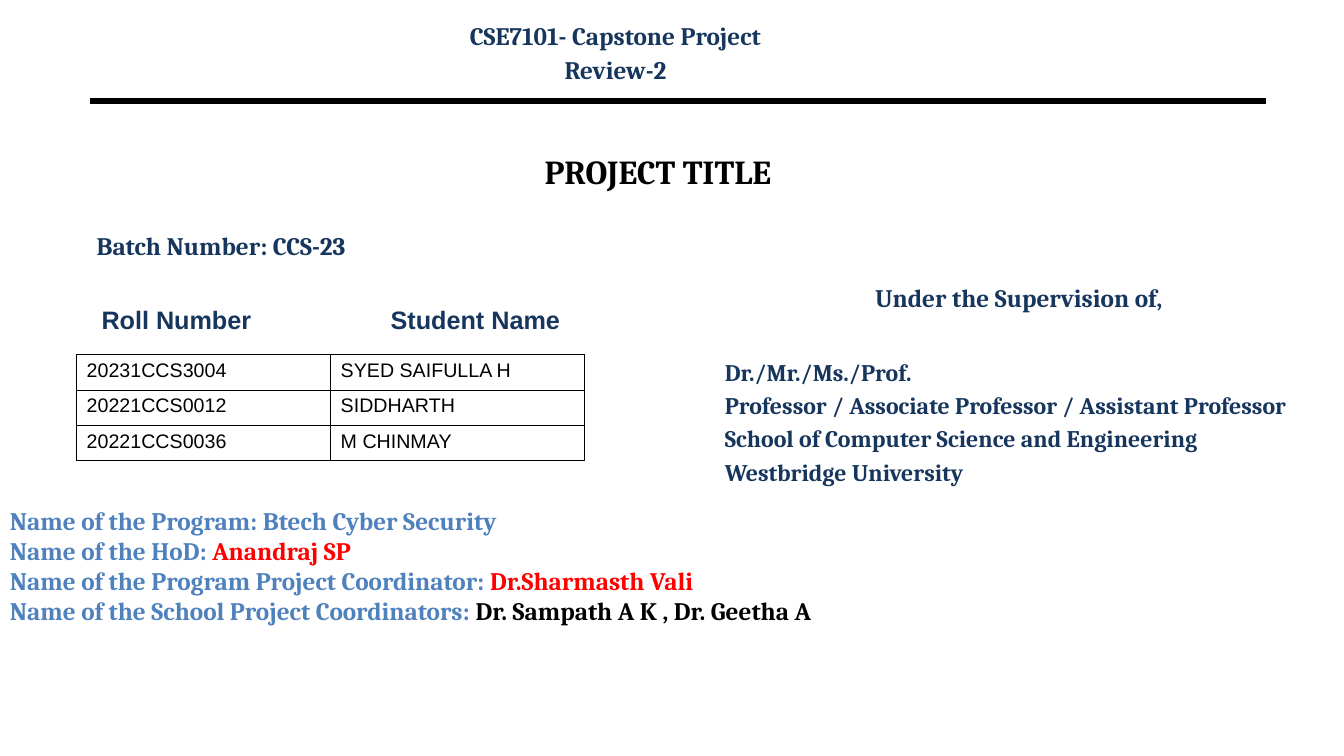
"""Build the opening slide of a capstone project review."""
import lxml.etree
import pptx
import pptx.dml.color
import pptx.enum.text
import pptx.oxml
import pptx.oxml.ns
import pptx.util

Inches = pptx.util.Inches
Pt = pptx.util.Pt
color = pptx.dml.color.RGBColor.from_string
CENTER = pptx.enum.text.PP_ALIGN.CENTER
LEFT = pptx.enum.text.PP_ALIGN.LEFT
MIDDLE = pptx.enum.text.MSO_ANCHOR.MIDDLE
NAVY, BLUE, RED, BLACK = "17365D", "4F81BD", "FF0000", "000000"


def write(text_frame, text, size=18, fill=NAVY, font="Cambria", bold=True,
          align=LEFT, before=0, same_line=False):
    """Write text in a new paragraph, or on the last line of the frame."""
    paragraph = text_frame.paragraphs[-1]
    if paragraph.runs and not same_line:
        paragraph = text_frame.add_paragraph()
    paragraph.alignment = align
    paragraph.space_before = Pt(before)
    run = paragraph.add_run()
    run.text = text
    run.font.name = font
    run.font.size = Pt(size)
    run.font.bold = bold
    run.font.color.rgb = color(fill)


def add_box(left, top, width, height):
    """Add a wrapping text box and return its text frame."""
    box = slide.shapes.add_textbox(Inches(left), Inches(top), Inches(width), Inches(height))
    box.text_frame.word_wrap = True
    return box.text_frame


presentation = pptx.Presentation()
presentation.slide_width = Inches(13.33)
presentation.slide_height = Inches(7.5)
slide = presentation.slides.add_slide(presentation.slide_layouts[5])

rule = slide.shapes.add_connector(1, Inches(0.89), Inches(1), Inches(12.56), Inches(1))
rule.line.color.rgb = color(BLACK)
rule.line.width = Pt(4.5)
lxml.etree.SubElement(rule._element.spPr, pptx.oxml.ns.qn("a:effectLst"))

title = slide.shapes.title
title.left, title.top = Inches(0.86), Inches(1.17)
title.width, title.height = Inches(11.33), Inches(1.05)
title.text_frame.vertical_anchor = MIDDLE
write(title.text_frame, "PROJECT TITLE", size=24, fill=BLACK, align=CENTER)

write(add_box(0.86, 2.24, 4.8, 0.6), "Batch Number: CCS-23")

supervision = add_box(7.09, 2.75, 6.03, 2.21)
write(supervision, "Under the Supervision of,", align=CENTER)
for text, before in [
    ("Dr./Mr./Ms./Prof.", 32),
    ("Professor / Associate Professor / Assistant Professor", 3.4),
    ("School of Computer Science and Engineering", 3.4),
    ("Westbridge University", 3.4),
]:
    write(supervision, text, size=17, before=before)

headings = slide.shapes.add_table(
    6, 2, Inches(0.61), Inches(2.98), Inches(5.93), Inches(2.03)).table
headings.first_row = headings.horz_banding = False
headings.columns[0].width = Inches(2.28)
headings.columns[1].width = Inches(3.65)
for row in headings.rows:
    row.height = Inches(0.33)
headings.rows[0].height = Inches(0.38)
for cell in headings.iter_cells():
    cell.fill.background()
for column, text in enumerate(["Roll Number", "Student Name"]):
    cell = headings.cell(0, column)
    cell.vertical_anchor = MIDDLE
    write(cell.text_frame, text, font="Arial", align=CENTER)

course = add_box(3.1, 0.15, 6.01, 0.8)
write(course, "CSE7101- Capstone Project", align=CENTER)
write(course, "Review-2", align=CENTER, before=3.1)

program = add_box(0, 4.96, 13.4, 1.71)
write(program, "Name of the Program: Btech Cyber Security", fill=BLUE)
for label, name, fill in [
    ("Name of the HoD: ", "Anandraj SP", RED),
    ("Name of the Program Project Coordinator: ", "Dr.Sharmasth Vali", RED),
    ("Name of the School Project Coordinators: ", "Dr. Sampath A K , Dr. Geetha A", BLACK),
]:
    write(program, label, fill=BLUE)
    write(program, name, fill=fill, same_line=True)

students = [
    ("20231CCS3004", "SYED SAIFULLA H"),
    ("20221CCS0012", "SIDDHARTH"),
    ("20221CCS0036", "M CHINMAY"),
]
roster = slide.shapes.add_table(
    3, 2, Inches(0.76), Inches(3.52), Inches(5.04), Inches(1.05)).table
roster.first_row = roster.horz_banding = False
for row, student in enumerate(students):
    for column, text in enumerate(student):
        cell = roster.cell(row, column)
        write(cell.text_frame, text, size=14, fill=BLACK, font="Arial", bold=False)
        properties = cell._tc.get_or_add_tcPr()
        for side in ("lnL", "lnR", "lnT", "lnB"):
            properties.append(pptx.oxml.parse_xml(
                f'<a:{side} {pptx.oxml.ns.nsdecls("a")} w="12700"><a:solidFill>'
                f'<a:srgbClr val="{BLACK}"/></a:solidFill></a:{side}>'))
        cell.fill.background()

presentation.save("out.pptx")
